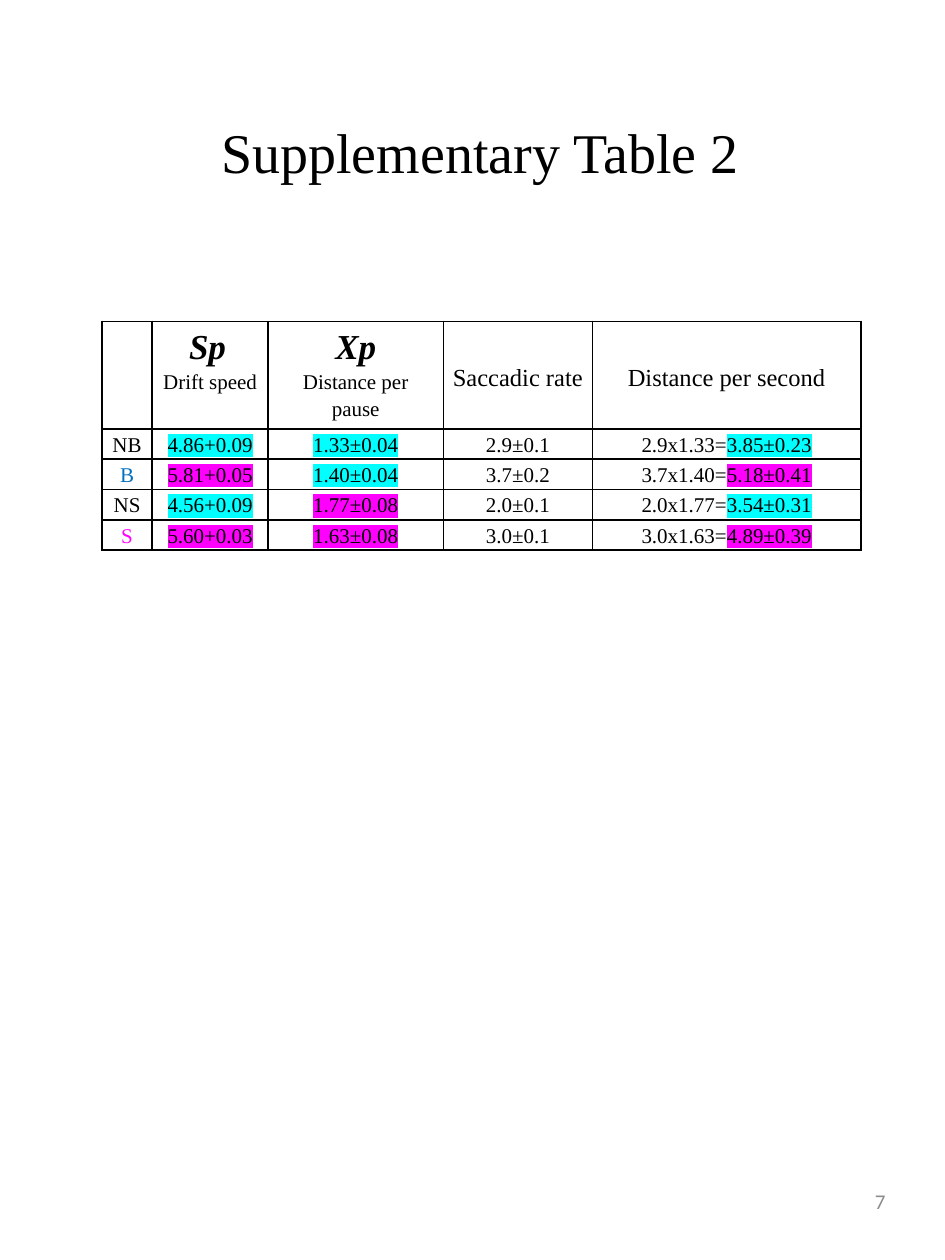
from lxml import etree
from pptx import Presentation
from pptx.dml.color import RGBColor
from pptx.enum.text import MSO_ANCHOR as Anchor, PP_ALIGN as Align
from pptx.oxml.ns import qn
from pptx.util import Pt

COLORS = {
    "black": "000000",
    "gray": "8C8C8C",
    "blue": "0070C0",
    "cyan": "00FFFF",
    "magenta": "FF00FF",
}
SERIF = "Times New Roman"
COLUMN_WIDTHS = [28.8, 66.2, 100.2, 85.2, 153.4]
HEADER_HEIGHT, ROW_HEIGHT = 57, 16

# Condition, its color, then (value, highlight) for drift speed and distance
# per pause, the saccadic rate, the product, and its (result, highlight)
CONDITIONS = [
    ("NB", "black", ("4.86+0.09", "cyan"), ("1.33±0.04", "cyan"),
     "2.9±0.1", "2.9x1.33=", ("3.85±0.23", "cyan")),
    ("B", "blue", ("5.81+0.05", "magenta"), ("1.40±0.04", "cyan"),
     "3.7±0.2", "3.7x1.40=", ("5.18±0.41", "magenta")),
    ("NS", "black", ("4.56+0.09", "cyan"), ("1.77±0.08", "magenta"),
     "2.0±0.1", "2.0x1.77=", ("3.54±0.31", "cyan")),
    ("S", "magenta", ("5.60+0.03", "magenta"), ("1.63±0.08", "magenta"),
     "3.0±0.1", "3.0x1.63=", ("4.89±0.39", "magenta")),
]


def add_text(paragraph, text, size=12, font=SERIF, color="black",
             bold=False, italic=False, highlight=None):
    run = paragraph.add_run()
    run.text = text
    run.font.size = Pt(size)
    run.font.name = font
    run.font.bold = bold
    run.font.italic = italic
    run.font.color.rgb = RGBColor.from_string(COLORS[color])
    if highlight:
        mark = etree.Element(qn("a:highlight"))
        etree.SubElement(mark, qn("a:srgbClr"), val=COLORS[highlight])
        run.font._element.find(qn("a:solidFill")).addnext(mark)


class SlideBuilder:
    def __init__(self, slide, border_width=1, line_spacing=1.15):
        self.slide = slide
        self.border_width = border_width
        self.line_spacing = line_spacing

    def text(self, left, top, width, height, text, align, **text_format):
        box = self.slide.shapes.add_textbox(Pt(left), Pt(top), Pt(width), Pt(height))
        frame = box.text_frame
        frame.word_wrap = True
        frame.vertical_anchor = Anchor.MIDDLE
        frame.paragraphs[0].alignment = align
        add_text(frame.paragraphs[0], text, **text_format)

    def table(self, left, top, widths, heights, rows):
        frame = self.slide.shapes.add_table(
            len(rows), len(widths), Pt(left), Pt(top), Pt(sum(widths)), Pt(sum(heights)))
        table = frame.table
        table.first_row = table.horz_banding = False
        for column, width in zip(table.columns, widths):
            column.width = Pt(width)
        for row, height, contents in zip(table.rows, heights, rows):
            row.height = Pt(height)
            for cell, paragraphs in zip(row.cells, contents):
                self.cell(cell, paragraphs)

    def cell(self, cell, paragraphs):
        """Fill a cell from paragraphs, each a list of (text, format) pairs."""
        cell.margin_left = cell.margin_right = Pt(5.3)
        cell.margin_top, cell.margin_bottom = Pt(0.75), Pt(0)
        self.borders(cell)
        cell.fill.background()
        for index, runs in enumerate(paragraphs):
            frame = cell.text_frame
            paragraph = frame.add_paragraph() if index else frame.paragraphs[0]
            paragraph.alignment = Align.CENTER
            paragraph.line_spacing = self.line_spacing
            for text, text_format in runs:
                add_text(paragraph, text, **text_format)
        if len(paragraphs) == 1 and paragraphs[0][0][1].get("size") == 14:
            cell.vertical_anchor = Anchor.MIDDLE

    def borders(self, cell):
        properties = cell._tc.get_or_add_tcPr()
        for side in ("a:lnL", "a:lnR", "a:lnT", "a:lnB"):
            line = etree.SubElement(properties, qn(side), w=str(Pt(self.border_width)))
            fill = etree.SubElement(line, qn("a:solidFill"))
            etree.SubElement(fill, qn("a:srgbClr"), val=COLORS["black"])


def table_rows():
    symbol = {"size": 20, "bold": True, "italic": True}
    heading = {"size": 14}
    rows = [[
        [],
        [[("Sp", symbol), (" ", {"italic": True})], [("Drift speed", {})]],
        [[("Xp", symbol)], [("Distance per pause", {})]],
        [[("Saccadic rate", heading)]],
        [[("Distance per second", heading)]],
    ]]
    for name, color, speed, pause, rate, product, result in CONDITIONS:
        speed, pause, result = (
            (value, {"highlight": mark}) for value, mark in (speed, pause, result))
        rows.append([
            [[(name, {"color": color})]],
            [[speed]],
            [[pause]],
            [[(rate, {})]],
            [[(product, {}), result]],
        ])
    return rows


def main():
    deck = Presentation()
    deck.slide_width, deck.slide_height = Pt(540), Pt(720)
    builder = SlideBuilder(deck.slides.add_slide(deck.slide_layouts[6]))
    builder.text(387, 667.4, 126, 38.2, "7", Align.RIGHT, font="Calibri", color="gray")
    builder.text(31.5, 26.6, 486, 120, "Supplementary Table 2", Align.CENTER, size=32)
    heights = [HEADER_HEIGHT] + [ROW_HEIGHT] * len(CONDITIONS)
    builder.table(58.2, 183.6, COLUMN_WIDTHS, heights, table_rows())
    deck.save("out.pptx")


if __name__ == "__main__":
    main()
